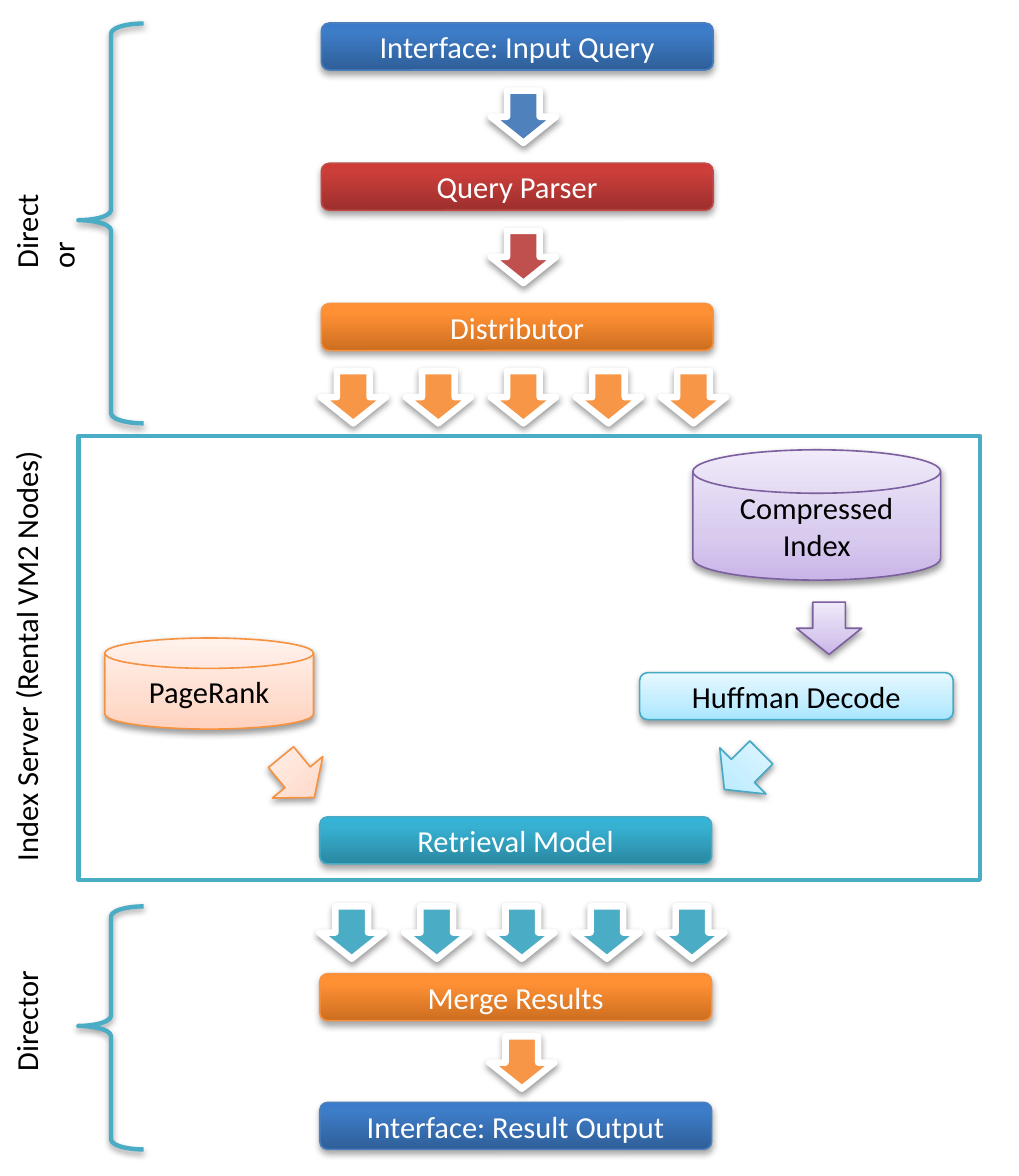
from lxml.etree import SubElement
from pptx import Presentation
from pptx.dml.color import RGBColor
from pptx.enum.shapes import MSO_SHAPE
from pptx.enum.text import MSO_ANCHOR, MSO_AUTO_SIZE, PP_ALIGN
from pptx.oxml.ns import qn
from pptx.util import Pt

COLORS = {
    "white": "FFFFFF", "black": "000000",
    "blue": "4F81BD", "red": "C0504D", "orange": "F79646", "teal": "4BACC6",
    "blue line": "4B7EBC", "red line": "BF4C48", "orange line": "F69240",
    "teal line": "46AAC5", "purple line": "7D60A0",
}
# Gradient stops from bottom to top: (percent, colour)
GRADIENTS = {
    "blue": [(0, "2F5F99"), (80, "3D7CC7"), (100, "3A7CCB")],
    "red": [(0, "9C2F2D"), (80, "CB3E3A"), (100, "CE3B37")],
    "orange": [(0, "CC6E20"), (80, "FF9034"), (100, "FF9136")],
    "teal": [(0, "2A88A2"), (80, "37B1D2"), (100, "34B4D6")],
    "pale purple": [(0, "C9B5E8"), (35, "D8CBEE"), (100, "F0EAF9")],
    "pale teal": [(0, "A7E6FF"), (35, "C1EDFF"), (100, "E7F8FF")],
    "pale orange": [(0, "FFD2BD"), (35, "FFDED0"), (100, "FFF2ED")],
}
FONT = "Calibri"
BOX_WIDTH, BOX_HEIGHT = 180, 21.6
ARROW_WIDTH, ARROW_HEIGHT = 30, 24
ARROW_PITCH = 39.06
TOP_AXIS, BOTTOM_AXIS = 237.6, 236.9  # centres of the two box columns
ARROW_SHIFT = 2.8  # arrows sit slightly right of the box centres


def rgb(name):
    return RGBColor.from_string(COLORS[name])


def add_shadow(shape, opacity=38, distance=1.6):
    effects = shape._element.spPr.find(qn("a:effectLst"))
    shadow = SubElement(effects, qn("a:outerShdw"), blurRad=str(Pt(3.1)),
                        dist=str(Pt(distance)), dir="5400000", rotWithShape="0")
    color = SubElement(shadow, qn("a:srgbClr"), val=COLORS["black"])
    SubElement(color, qn("a:alpha"), val=str(opacity * 1000))


def fill_gradient(shape, stops):
    shape.fill.gradient()
    shape.fill.gradient_angle = 90
    stop_list = shape._element.spPr.find(qn("a:gradFill")).find(qn("a:gsLst"))
    for stop in list(stop_list):
        stop_list.remove(stop)
    for percent, value in stops:
        stop = SubElement(stop_list, qn("a:gs"), pos=str(percent * 1000))
        SubElement(stop, qn("a:srgbClr"), val=value)


def add_outlined(page, kind, frame, line, weight):
    shape = page.shapes.add_shape(kind, *(Pt(length) for length in frame))
    shape.shadow.inherit = False
    shape.line.color.rgb = rgb(line)
    shape.line.width = Pt(weight)
    return shape


def add_run(para, text, color):
    span = para.add_run()
    span.text = text
    span.font.name = FONT
    span.font.size = Pt(14)
    span.font.color.rgb = rgb(color)


def write_centred(shape, lines, color):
    body = shape.text_frame
    body.word_wrap = True
    body.vertical_anchor = MSO_ANCHOR.MIDDLE
    for number, line in enumerate(lines):
        para = body.add_paragraph() if number else body.paragraphs[0]
        para.alignment = PP_ALIGN.CENTER
        add_run(para, line, color)


def add_step(page, text, axis, top, hue):
    """Dark rounded box centred on a column axis."""
    frame = (axis - BOX_WIDTH / 2, top, BOX_WIDTH, BOX_HEIGHT)
    box = add_outlined(page, MSO_SHAPE.ROUNDED_RECTANGLE, frame, hue + " line", 0.75)
    fill_gradient(box, GRADIENTS[hue])
    add_shadow(box, 35, 1.8)
    write_centred(box, [text], "white")


def add_pale(page, kind, frame, hue, lines=(), rotation=0):
    """Light gradient shape with an optional black label."""
    shape = add_outlined(page, kind, frame, hue + " line", 0.75)
    fill_gradient(shape, GRADIENTS["pale " + hue])
    add_shadow(shape)
    shape.rotation = rotation
    write_centred(shape, lines, "black")


def add_pale_arrow(page, left, top, hue, rotation=0):
    frame = (left, top, ARROW_WIDTH, ARROW_HEIGHT)
    add_pale(page, MSO_SHAPE.DOWN_ARROW, frame, hue, rotation=rotation)


def add_arrows(page, axis, top, color, count=1):
    """Row of white-edged arrows centred on a column axis."""
    first = axis + ARROW_SHIFT - ARROW_WIDTH / 2 - ARROW_PITCH * (count - 1) / 2
    for number in range(count):
        frame = (first + number * ARROW_PITCH, top, ARROW_WIDTH, ARROW_HEIGHT)
        arrow = add_outlined(page, MSO_SHAPE.DOWN_ARROW, frame, "white", 3)
        arrow.fill.solid()
        arrow.fill.fore_color.rgb = rgb(color)
        add_shadow(arrow)


def add_brace(page, top, height):
    brace = add_outlined(page, MSO_SHAPE.LEFT_BRACE, (36, top, 30, height), "teal", 2)
    brace.fill.background()
    brace.adjustments[0] = 0.155
    brace.adjustments[1] = 0.492
    add_shadow(brace)


def add_side_label(page, text, top, height, wrap=False):
    box = page.shapes.add_textbox(Pt(0), Pt(top), Pt(31.7), Pt(height))
    body = box.text_frame
    body.word_wrap = wrap
    body.auto_size = MSO_AUTO_SIZE.SHAPE_TO_FIT_TEXT
    body._txBody.bodyPr.set("vert", "vert270")
    add_run(body.paragraphs[0], text, "black")


def add_query_stage(page):
    steps = [("Interface: Input Query", "blue", 1),
             ("Query Parser", "red", 1),
             ("Distributor", "orange", 5)]
    for number, (text, hue, arrow_count) in enumerate(steps):
        top = 10.6 + number * 64.4
        add_step(page, text, TOP_AXIS, top, hue)
        add_arrows(page, TOP_AXIS, top + 31, hue, arrow_count)
    add_brace(page, 10.8, 183.6)
    add_side_label(page, "Director", 74.9, 55.4, wrap=True)


def add_index_server(page):
    server = add_outlined(page, MSO_SHAPE.RECTANGLE, (36, 200.2, 414, 203.8), "teal", 2)
    server.fill.solid()
    server.fill.fore_color.rgb = rgb("white")
    add_side_label(page, "Index Server (Rental VM2 Nodes)", 200.9, 201.6)

    # Data sources and decoder
    disk = MSO_SHAPE.FLOWCHART_MAGNETIC_DISK
    add_pale(page, disk, (318.2, 206.6, 113.8, 59.8), "purple", ["Compressed", "Index"])
    add_pale(page, disk, (48.2, 293, 95.8, 41.8), "orange", ["PageRank"])
    add_pale(page, MSO_SHAPE.ROUNDED_RECTANGLE, (293.8, 308.9, 144, BOX_HEIGHT),
             "teal", ["Huffman Decode"])

    # Flow into the model
    add_pale_arrow(page, 365.8, 276.5, "purple")
    add_pale_arrow(page, 121.7, 344.9, "orange", 320.5)
    add_pale_arrow(page, 326.2, 342, "teal", 45)
    add_step(page, "Retrieval Model", BOTTOM_AXIS, 375.1, "teal")


def add_result_stage(page):
    add_arrows(page, BOTTOM_AXIS, 416.2, "teal", 5)
    add_step(page, "Merge Results", BOTTOM_AXIS, 447.1, "orange")
    add_arrows(page, BOTTOM_AXIS, 475.9, "orange")
    add_step(page, "Interface: Result Output", BOTTOM_AXIS, 506.2, "blue")
    add_brace(page, 416.2, 111.6)
    add_side_label(page, "Director", 445, 54)


def main():
    deck = Presentation()
    deck.slide_width, deck.slide_height = Pt(468), Pt(540)
    page = deck.slides.add_slide(deck.slide_layouts[6])
    add_query_stage(page)
    add_index_server(page)
    add_result_stage(page)
    deck.save("out.pptx")


if __name__ == "__main__":
    main()
